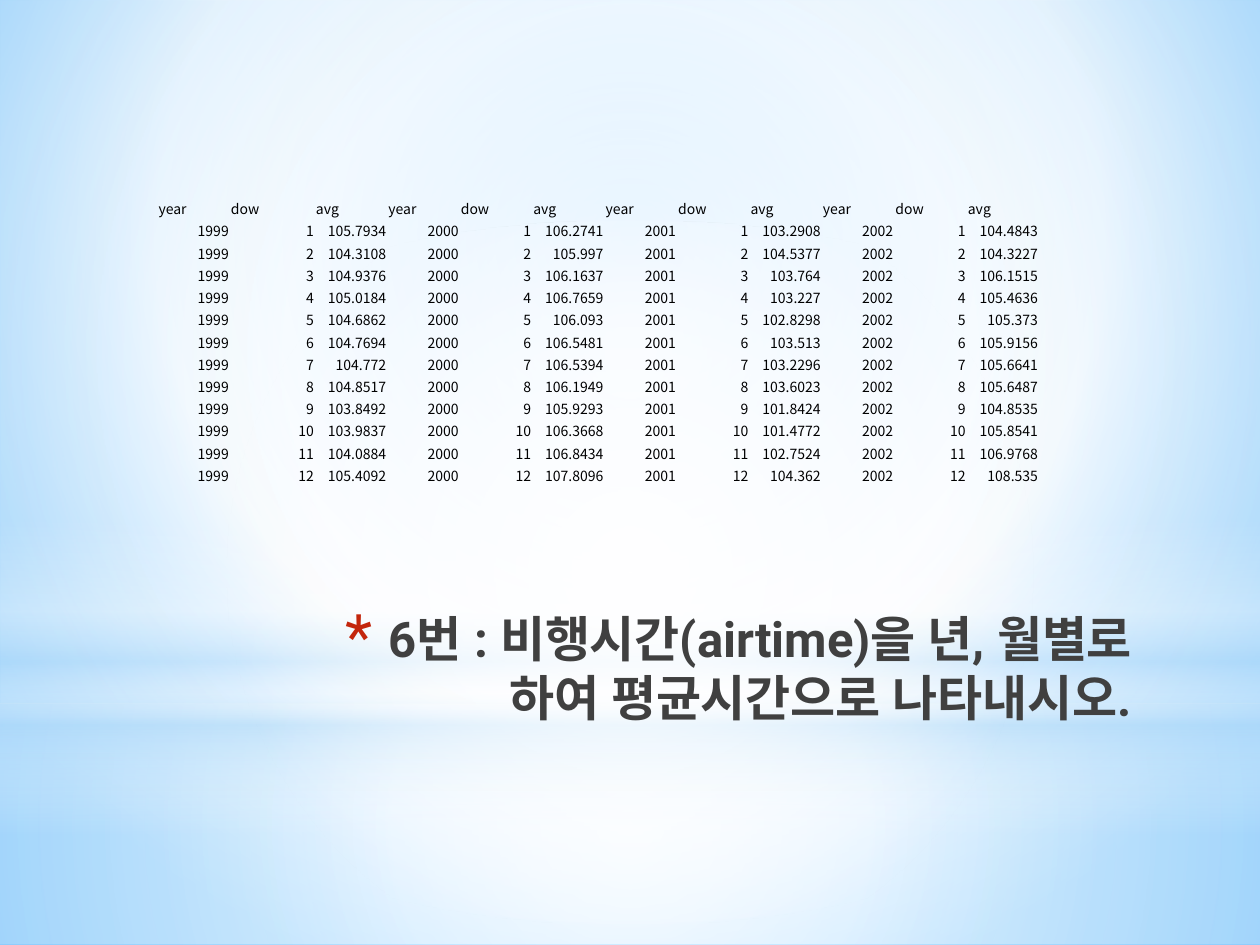
import pptx
import pptx.util
import pptx.oxml
import pptx.dml.color
import pptx.enum.lang
import pptx.enum.shapes
import pptx.enum.text

Pt = pptx.util.Pt
Align = pptx.enum.text.PP_ALIGN
Anchor = pptx.enum.text.MSO_ANCHOR
Shape = pptx.enum.shapes.MSO_SHAPE
NS = 'xmlns:a="http://schemas.openxmlformats.org/drawingml/2006/main"'
HUES = {"white": "FFFFFF", "pale": "B4DCFA", "sky": "9ED5FF", "blue": "5BB9FF",
        "red": "C3260C", "gray": "404040", "black": "000000"}


def shade(fill, root, stops, to=None):
    """Fill with (place, hue, opacity) stops, round towards a box or top down."""
    fill.gradient()
    marks = "".join(
        f'<a:gs pos="{place * 1000}"><a:srgbClr val="{HUES[hue]}">'
        f'<a:alpha val="{alpha * 1000}"/></a:srgbClr></a:gs>'
        for place, hue, alpha in stops)
    if to:
        left, top, right, low = (part * 1000 for part in to)
        flow = (f'<a:path path="circle"><a:fillToRect l="{left}" t="{top}" '
                f'r="{right}" b="{low}"/></a:path>')
    else:
        flow = '<a:lin ang="5400000" scaled="0"/>'
    old = root.xpath(".//a:gradFill")[0]
    new = pptx.oxml.parse_xml(
        f'<a:gradFill {NS} rotWithShape="1"><a:gsLst>{marks}</a:gsLst>{flow}</a:gradFill>')
    old.getparent().replace(old, new)


def write(frame, text, size=8, font="Noto Sans CJK KR", hue="black",
          bold=False, align=Align.LEFT):
    """Put one formatted run in a text frame and return its paragraph."""
    para = frame.paragraphs[0]
    para.alignment = align
    run = para.add_run()
    run.text = text
    run.font.size = Pt(size)
    run.font.name = font
    run.font.bold = bold
    run.font.color.rgb = pptx.dml.color.RGBColor.from_string(HUES[hue])
    run.font.language_id = pptx.enum.lang.MSO_LANGUAGE_ID.KOREAN
    run.font._element.append(pptx.oxml.parse_xml(f'<a:ea {NS} typeface="{font}"/>'))
    return para


deck = pptx.Presentation()
deck.slide_width, deck.slide_height = Pt(720), Pt(540)
slide = deck.slides.add_slide(deck.slide_layouts[5])

# Backdrop
back = slide.background
shade(back.fill, slide._element,
      [(0, "sky", 100), (60, "white", 100), (100, "blue", 100)], (20, 10, 20, 60))
mid = (50, 50, 50, 50)
layers = [
    (Shape.RECTANGLE, 402, 138, mid,
     [(0, "white", 91), (37, "white", 76), (100, "pale", 79)]),
    (Shape.RECTANGLE, 0, 402, mid,
     [(0, "white", 89), (48, "white", 62), (100, "pale", 79)]),
    (Shape.RECTANGLE, 297, 180, None,
     [(0, "white", 0), (29, "white", 30), (45, "pale", 40),
      (55, "white", 26), (65, "pale", 60), (100, "white", 0)]),
    (Shape.OVAL, 126, 402, mid, [(0, "white", 100), (56, "white", 0)]),
]
for kind, top, height, to, stops in layers:
    layer = slide.shapes.add_shape(kind, 0, Pt(top), Pt(720), Pt(height))
    layer.shadow.inherit = False
    layer.line.fill.background()
    shade(layer.fill, layer._element, stops, to)

# Title, in front of the backdrop
title = slide.shapes.title
slide.shapes._spTree.append(title._element)
title.left, title.top, title.width, title.height = Pt(141), Pt(344), Pt(513), Pt(90)
frame = title.text_frame
frame.word_wrap = True
frame.auto_size = pptx.enum.text.MSO_AUTO_SIZE.NONE
frame.vertical_anchor = Anchor.TOP
para = write(frame, "6번 : 비행시간(airtime)을 년, 월별로 하여 평균시간으로 나타내시오.",
             size=28, font="Roboto", hue="gray", bold=True, align=Align.RIGHT)
props = para._p.get_or_add_pPr()
props.set("marL", str(Pt(25)))
props.set("indent", str(-Pt(25)))
for mark in (f'<a:buClr {NS}><a:srgbClr val="{HUES["red"]}"/></a:buClr>',
             f'<a:buSzPct {NS} val="128000"/>',
             f'<a:buFont {NS} typeface="Roboto"/>',
             f'<a:buChar {NS} char="*"/>'):
    props.append(pptx.oxml.parse_xml(mark))

# Mean air time by year, January to December
means = {
    1999: "105.7934 104.3108 104.9376 105.0184 104.6862 104.7694 "
          "104.772 104.8517 103.8492 103.9837 104.0884 105.4092",
    2000: "106.2741 105.997 106.1637 106.7659 106.093 106.5481 "
          "106.5394 106.1949 105.9293 106.3668 106.8434 107.8096",
    2001: "103.2908 104.5377 103.764 103.227 102.8298 103.513 "
          "103.2296 103.6023 101.8424 101.4772 102.7524 104.362",
    2002: "104.4843 104.3227 106.1515 105.4636 105.373 105.9156 "
          "105.6641 105.6487 104.8535 105.8541 106.9768 108.535",
}
rows = [["year", "dow", "avg"] * len(means)]
for month in range(12):
    rows.append([item for year, line in means.items()
                 for item in (str(year), str(month + 1), line.split()[month])])

grid = slide.shapes.add_table(len(rows), len(rows[0]), Pt(90), Pt(112.5),
                              Pt(504), Pt(165.1)).table
grid.first_row = grid.horz_banding = False
grid._tbl.tblPr.find(
    "{*}tableStyleId").text = "{2D5ABB26-0587-4C30-8999-92F81FD0307C}"
for col in grid.columns:
    col.width = Pt(41.4)
grid.columns[1].width = Pt(48.6)

for r, row in enumerate(rows):
    grid.rows[r].height = Pt(12.7)
    for c, text in enumerate(row):
        cell = grid.cell(r, c)
        cell.fill.background()
        cell.vertical_anchor = Anchor.MIDDLE
        cell.margin_left = cell.margin_right = cell.margin_top = Pt(0.6)
        cell.margin_bottom = 0
        write(cell.text_frame, text, align=Align.RIGHT if r else Align.LEFT)

deck.save("out.pptx")
